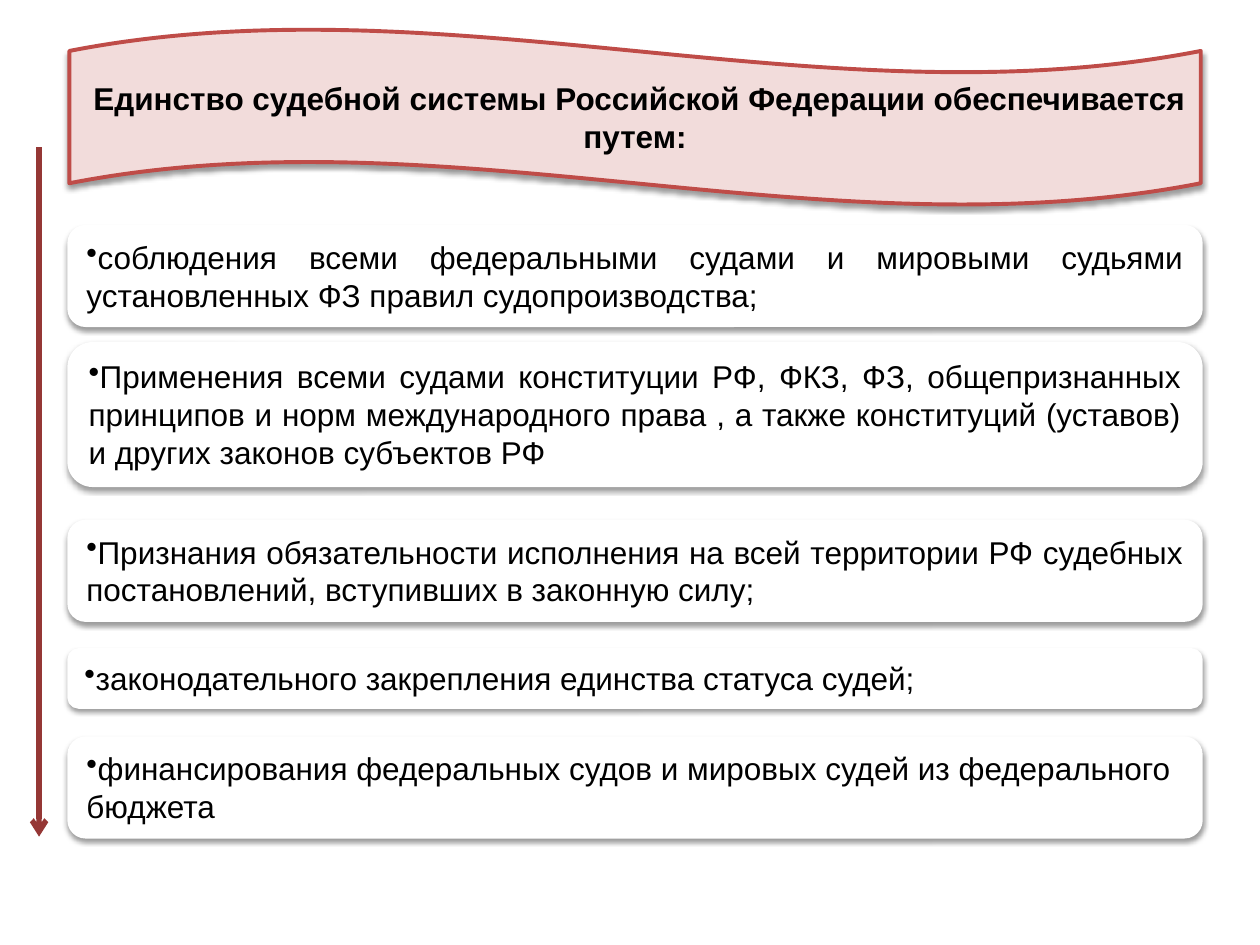
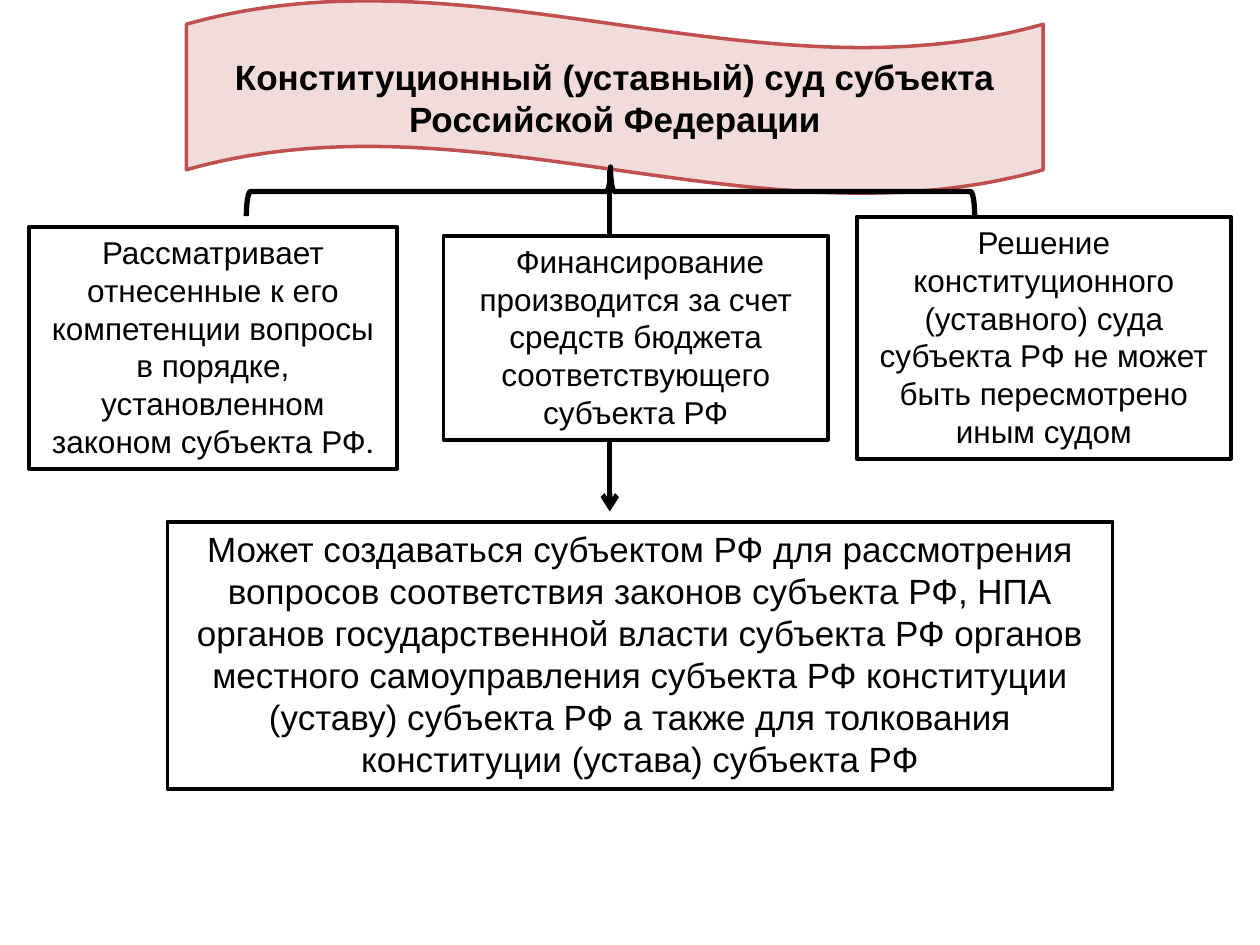
from lxml.etree import SubElement
from pptx import Presentation
from pptx.dml.color import RGBColor
from pptx.enum.shapes import MSO_CONNECTOR, MSO_SHAPE
from pptx.enum.text import MSO_ANCHOR, MSO_AUTO_SIZE, PP_ALIGN
from pptx.oxml.ns import qn
from pptx.util import Inches, Pt

BLACK, WHITE, PINK = "000000", "FFFFFF", "F2DCDB"
BASE_FONT = {"name": "Arial", "size": Pt(18), "bold": False}
LARGE_FONT = {**BASE_FONT, "size": Pt(20)}

UNITY_TITLE = " Единство судебной системы Российской Федерации обеспечивается путем:"
UNITY_LEFT, UNITY_WIDTH = 0.55, 8.98
UNITY_MEANS = [
    (1.8, 2, PP_ALIGN.JUSTIFY, "соблюдения всеми федеральными судами и мировыми судьями "
     "установленных ФЗ правил судопроизводства;"),
    (2.73, 3, PP_ALIGN.JUSTIFY, "Применения всеми судами конституции РФ, ФКЗ, ФЗ, общепризнанных "
     "принципов и норм международного права , а также конституций (уставов) и других законов "
     "субъектов РФ"),
    (4.14, 2, PP_ALIGN.JUSTIFY, "Признания обязательности исполнения на всей территории РФ судебных "
     "постановлений, вступивших в законную силу;"),
    (5.16, 1, PP_ALIGN.LEFT, "законодательного закрепления единства статуса судей;"),
    (5.86, 2, PP_ALIGN.LEFT, "финансирования федеральных судов и мировых судей из федерального бюджета"),
]
ROW_HEIGHTS = {1: 0.45, 2: 0.78, 3: 1.12}

COURT_TITLE = "Конституционный (уставный) суд субъекта Российской Федерации"
FUNDING = ((3.52, 1.87, 3.05, 1.62), BASE_FONT, [
    (" Финансирование производится за счет средств бюджета соответствующего субъекта РФ", "Arial")])
COURT_FACTS = [
    ((1.33, 4.14, 7.5, 2.12), LARGE_FONT, [
        ("Может создаваться субъектом РФ для рассмотрения вопросов соответствия законов субъекта РФ, "
         "НПА органов государственной власти субъекта РФ органов местного самоуправления субъекта РФ "
         "конституции (уставу) субъекта РФ а также для толкования конституции (устава) субъекта РФ",
         "Arial")]),
    ((0.23, 1.8, 2.92, 1.92), BASE_FONT, [
        ("Рассматривает отнесенные к его компетенции вопросы в порядке, установленном законом "
         "субъекта РФ", "Arial"), (".", "Calibri")]),
    ((6.8, 1.72, 2.97, 1.92), BASE_FONT, [
        ("Решение конституционного (уставного) суда субъекта РФ не может быть пересмотрено "
         "иным судом", "Arial")]),
]


def color(value):
    return RGBColor.from_string(value)


def set_values(target, values):
    for name, value in values.items():
        setattr(target, name, value)


def set_line(item, value, width):
    item.line.color.rgb = color(value)
    item.line.width = Pt(width)


def add_shadow(shape):
    effects = shape._element.spPr.find(qn("a:effectLst"))
    shadow = SubElement(effects, qn("a:outerShdw"), blurRad=str(Pt(3.1)), dist=str(Pt(1.6)),
                        dir="5400000", rotWithShape="0")
    tint = SubElement(shadow, qn("a:srgbClr"), val=BLACK)
    SubElement(tint, qn("a:alpha"), val="38000")


def add_block(page, kind, area, fill, line, width):
    block = page.shapes.add_shape(kind, *map(Inches, area))
    block.shadow.inherit = False
    if fill:
        block.fill.solid()
        block.fill.fore_color.rgb = color(fill)
    else:
        block.fill.background()
    set_line(block, line, width)
    return block


def write(shape, spans, font, align=PP_ALIGN.CENTER, anchor=MSO_ANCHOR.TOP, bullet=False):
    frame = shape.text_frame
    set_values(frame, {"word_wrap": True, "auto_size": MSO_AUTO_SIZE.NONE, "vertical_anchor": anchor})
    para = frame.paragraphs[0]
    para.alignment = align
    if bullet:
        SubElement(para._p.get_or_add_pPr(), qn("a:buChar"), char="•")
    for text, typeface in spans:
        span = para.add_run()
        span.text = text
        set_values(span.font, {**font, "name": typeface})
        span.font.color.rgb = color(BLACK)


def add_banner(page, area, text, font, line, width):
    wave = add_block(page, MSO_SHAPE.WAVE, area, PINK, line, width)
    title = page.shapes.title
    set_values(title, dict(zip(("left", "top", "width", "height"), map(Inches, area))))
    write(title, [(text, "Arial")], {**font, "bold": True}, anchor=MSO_ANCHOR.MIDDLE)
    wave._element.addnext(title._element)
    return wave


def add_arrow(page, x, top, bottom, value):
    arrow = page.shapes.add_connector(MSO_CONNECTOR.STRAIGHT, *map(Inches, (x, top, x, bottom)))
    set_line(arrow, value, 3)
    SubElement(arrow.line._get_or_add_ln(), qn("a:tailEnd"), type="arrow")
    SubElement(arrow._element.spPr, qn("a:effectLst"))


def add_fact(page, area, font, spans):
    write(add_block(page, MSO_SHAPE.RECTANGLE, area, WHITE, BLACK, 2.25), spans, font)


def build_unity(page):
    add_shadow(add_banner(page, (UNITY_LEFT, 0.23, UNITY_WIDTH, 1.4), UNITY_TITLE,
                          BASE_FONT, "BF4C48", 2.25))
    for top, rows, align, text in UNITY_MEANS:
        area = (UNITY_LEFT, top, UNITY_WIDTH, ROW_HEIGHTS[rows])
        box = add_block(page, MSO_SHAPE.ROUNDED_RECTANGLE, area, WHITE, WHITE, 2.25)
        add_shadow(box)
        write(box, [(text, "Arial")], BASE_FONT, align, bullet=True)
    add_arrow(page, 0.31, 1.17, 6.64, "953735")


def build_court(page):
    add_arrow(page, 4.84, 1.33, 4.06, BLACK)
    add_fact(page, *FUNDING)
    add_banner(page, (1.48, 0, 6.8, 1.54), COURT_TITLE, LARGE_FONT, "C0504D", 2)
    for fact in COURT_FACTS:
        add_fact(page, *fact)
    brace = add_block(page, MSO_SHAPE.LEFT_BRACE, (4.65, -1.37, 0.39, 5.78), None, BLACK, 3)
    brace.rotation = 90


def main():
    deck = Presentation()
    deck.slide_width, deck.slide_height = Inches(10), Inches(7.5)
    for build in (build_unity, build_court):
        build(deck.slides.add_slide(deck.slide_layouts[5]))
    deck.save("out.pptx")


if __name__ == "__main__":
    main()
